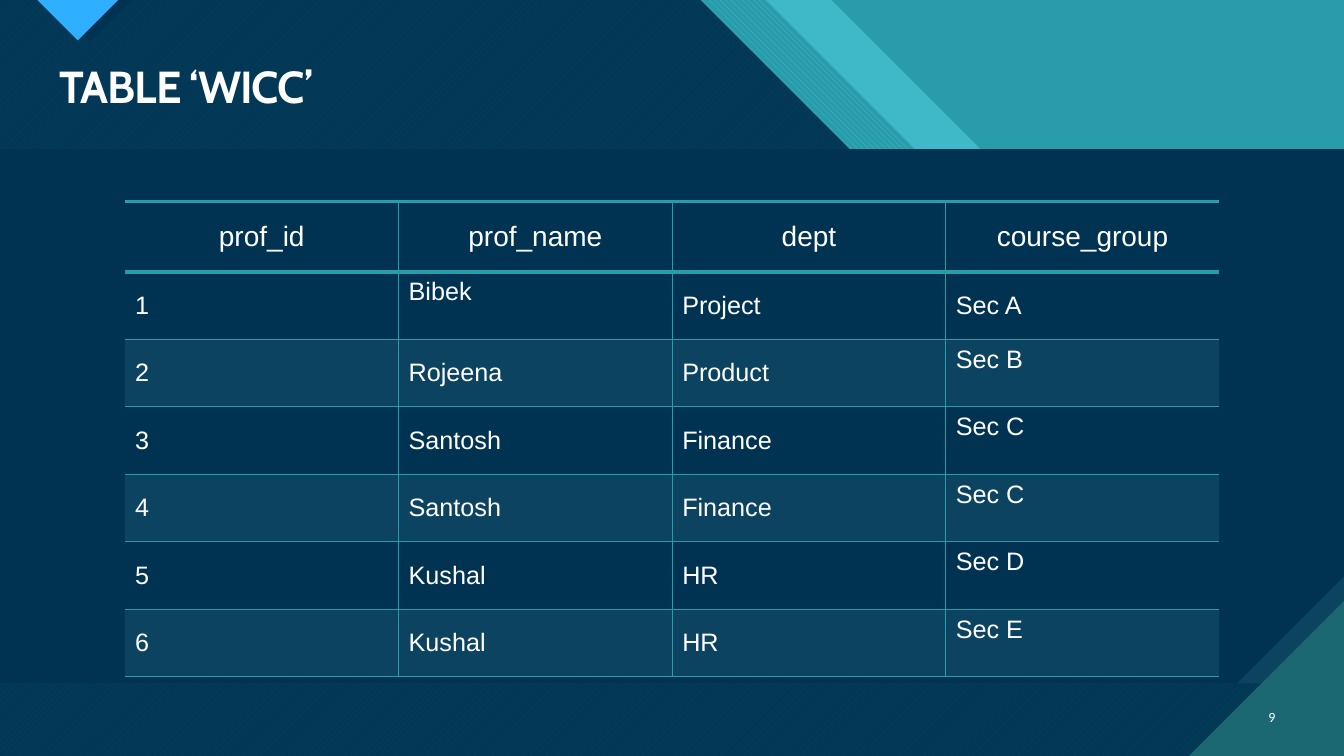
from lxml import etree
from pptx import Presentation, util as u
from pptx.dml.color import RGBColor
from pptx.enum import dml, shapes, text
from pptx.oxml import ns

NAVY, BLUE, TEAL, AQUA = "003352", "0C4360", "299CAB", "47C3D3"
GREEN, SKY, WHITE = "1B6872", "2FAFFF", "FFFFFF"
WIDE, HIGH = 33.87, 19.05
TOP, TALL = 3.76, 13.46  # body band

ROWS = [
    ("prof_id", "prof_name", "dept", "course_group"),
    ("1", "Bibek", "Project", "Sec A"),
    ("2", "Rojeena", "Product", "Sec B"),
    ("3", "Santosh", "Finance", "Sec C"),
    ("4", "Santosh", "Finance", "Sec C"),
    ("5", "Kushal", "HR", "Sec D"),
    ("6", "Kushal", "HR", "Sec E"),
]
RAISED = {(1, 1), (2, 3), (3, 3), (4, 3), (5, 3), (6, 3)}


def rgb(hex):
    return RGBColor.from_string(hex)


def sub(node, tag, **attrs):
    return etree.SubElement(node, ns.qn(tag), **attrs)


class Deck:
    def __init__(self):
        self.prs = Presentation()
        self.prs.slide_width, self.prs.slide_height = u.Cm(WIDE), u.Cm(HIGH)
        self.slide = self.prs.slides.add_slide(self.prs.slide_layouts[6])
        self.items = self.slide.shapes
        back = self.slide.background.fill
        back.solid()
        back.fore_color.rgb = rgb(AQUA)

    def paint(self, shape, color, alpha=None, mesh=None):
        """Fill without line or shadow; mesh is (pattern, back colour)."""
        shape.shadow.inherit = False
        shape.line.fill.background()
        fill = shape.fill
        if mesh:
            fill.patterned()
            fill.pattern = mesh[0]
            fill.back_color.rgb = rgb(mesh[1])
        else:
            fill.solid()
        fill.fore_color.rgb = rgb(color)
        if alpha:
            tint = shape._element.spPr.find(".//" + ns.qn("a:srgbClr"))
            sub(tint, "a:alpha", val=str(alpha * 1000))

    def box(self, x, y, w, h, color, snip=None):
        kind = shapes.MSO_SHAPE.RECTANGLE
        if snip is not None:
            kind = shapes.MSO_SHAPE.SNIP_1_RECTANGLE
        shape = self.items.add_shape(kind, u.Cm(x), u.Cm(y), u.Cm(w), u.Cm(h))
        if snip is not None:
            shape.adjustments[0] = snip
            shape._element.spPr.xfrm.set("flipV", "1")
        self.paint(shape, color)

    def shard(self, points, color, **look):
        """Closed polygon."""
        spots = [(u.Cm(x), u.Cm(y)) for x, y in points]
        pen = self.items.build_freeform(*spots[0])
        pen.add_line_segments(spots[1:], close=True)
        self.paint(pen.convert_to_shape(), color, **look)

    def add_run(self, para, words, size, font, bold=False):
        run = para.add_run()
        run.text = words
        run.font.size, run.font.name, run.font.bold = u.Pt(size), font, bold
        run.font.color.rgb = rgb(WHITE)
        return run

    def label(self, x, y, w, h, words, size, font, align, bold=False):
        frame = self.items.add_textbox(u.Cm(x), u.Cm(y), u.Cm(w), u.Cm(h)).text_frame
        frame.word_wrap = True
        frame.vertical_anchor = text.MSO_ANCHOR.MIDDLE
        para = frame.paragraphs[0]
        para.alignment = align
        para.line_spacing = 0.9 if bold else 1.0
        return self.add_run(para, words, size, font, bold)

    def edge(self, cell, side, width):
        line = sub(cell._tc.get_or_add_tcPr(), "a:ln" + side, w=str(u.Pt(width)))
        if width:
            sub(sub(line, "a:solidFill"), "a:srgbClr", val=TEAL)
        else:
            sub(line, "a:noFill")

    def cell(self, cell, row, col, words):
        head = row == 0
        cell.vertical_anchor = text.MSO_ANCHOR.MIDDLE
        if (row, col) in RAISED:
            cell.margin_bottom = u.Cm(0.81)
        para = cell.text_frame.paragraphs[0]
        para.alignment = text.PP_ALIGN.CENTER if head else text.PP_ALIGN.LEFT
        self.add_run(para, words, 20 if head else 18, "Arial")
        self.edge(cell, "L", 1 if col else 0)
        self.edge(cell, "R", 1 if col < len(ROWS[0]) - 1 else 0)
        self.edge(cell, "T", 3 if row < 2 else 1)
        self.edge(cell, "B", 3 if head else 1)
        if row and row % 2 == 0:
            cell.fill.solid()
            cell.fill.fore_color.rgb = rgb(BLUE)
        else:
            cell.fill.background()

    def table(self, x, y, width, head, step):
        count, cols = len(ROWS), len(ROWS[0])
        grid = self.items.add_table(count, cols, u.Cm(x), u.Cm(y), u.Cm(width),
                                    u.Cm(head + step * (count - 1))).table
        grid.first_row = grid.horz_banding = False
        for row, words in enumerate(ROWS):
            grid.rows[row].height = u.Cm(step if row else head)
            for col, word in enumerate(words):
                self.cell(grid.cell(row, col), row, col, word)


def main():
    deck = Deck()
    deck.box(0, 0, WIDE, HIGH, TEAL)

    mesh = dml.MSO_PATTERN
    layers = [
        (20.95, AQUA, {"alpha": 74}),
        (19.3, AQUA, {"mesh": (mesh.WIDE_DOWNWARD_DIAGONAL, TEAL)}),
        (17.65, AQUA, {"mesh": (mesh.WIDE_UPWARD_DIAGONAL, GREEN)}),
        (17.65, NAVY, {"alpha": 90}),
    ]
    for x, color, look in layers:
        deck.shard([(0, 0), (x, 0), (x + 7.55, 7.55), (WIDE, 7.55),
                    (WIDE, HIGH), (0, HIGH)], color, **look)

    for x, half, color in [(1.22, 1.05, NAVY), (0.94, 1.02, SKY)]:
        deck.shard([(x, 0), (x + half, half), (x + 2 * half, 0)], color)

    deck.box(0, TOP, WIDE, TALL, BLUE, snip=0)
    deck.box(0, TOP, WIDE, TALL, NAVY, snip=0.2)
    side = 3.91
    deck.shard([(WIDE - side, HIGH), (WIDE, HIGH), (WIDE, HIGH - side)], GREEN)

    title = deck.label(1.24, 1.5, 31.14, 1.5, "TABLE ‘WICC’", 32, "Cabin",
                       text.PP_ALIGN.LEFT, bold=True)
    title._r.get_or_add_rPr().set("spc", "-70")
    deck.table(3.15, 5.08, 27.58, 1.77, 1.68)
    deck.label(31.27, 17.55, 1.12, 1.02, "9", 10, "Calibri", text.PP_ALIGN.RIGHT)
    deck.prs.save("out.pptx")


if __name__ == "__main__":
    main()
